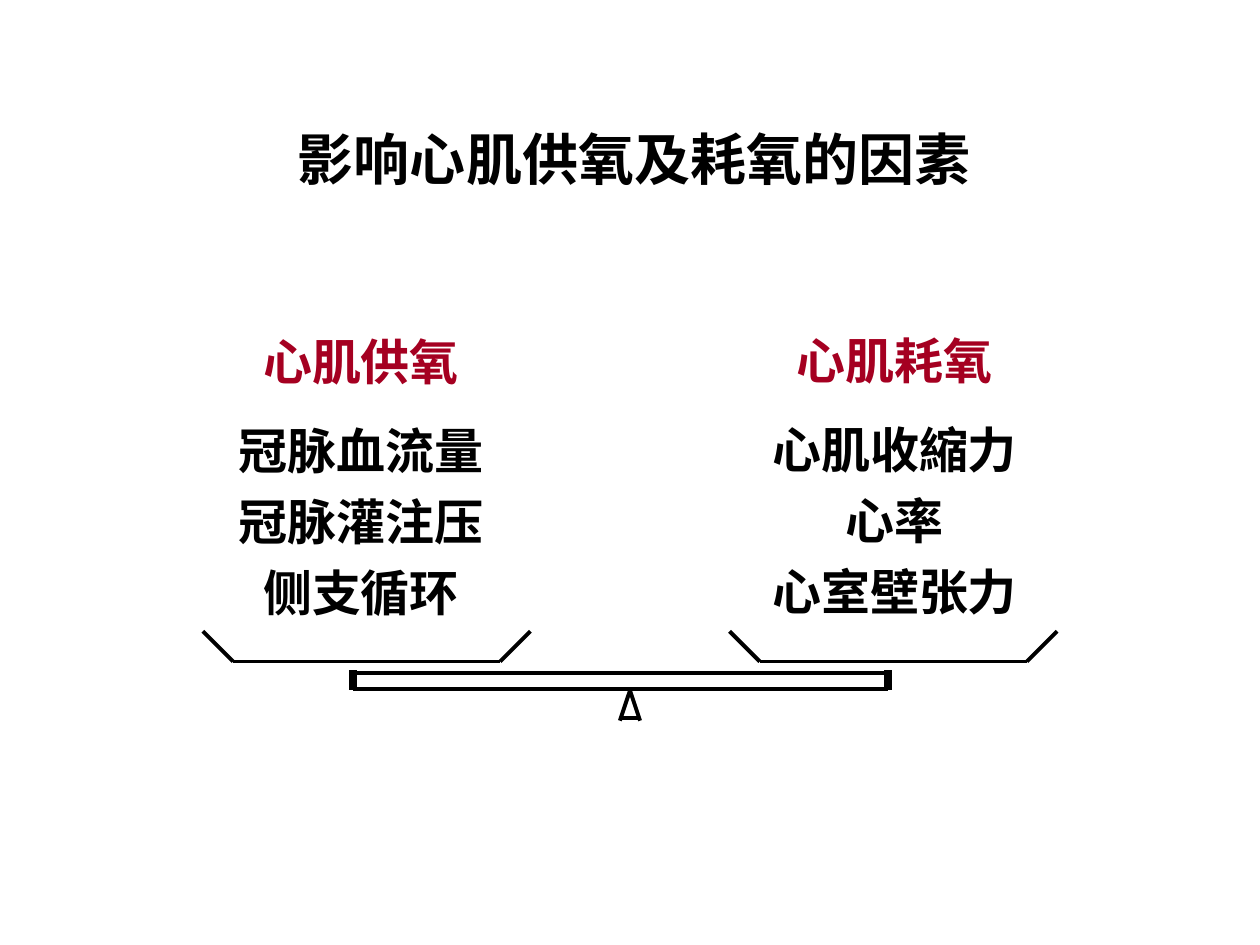
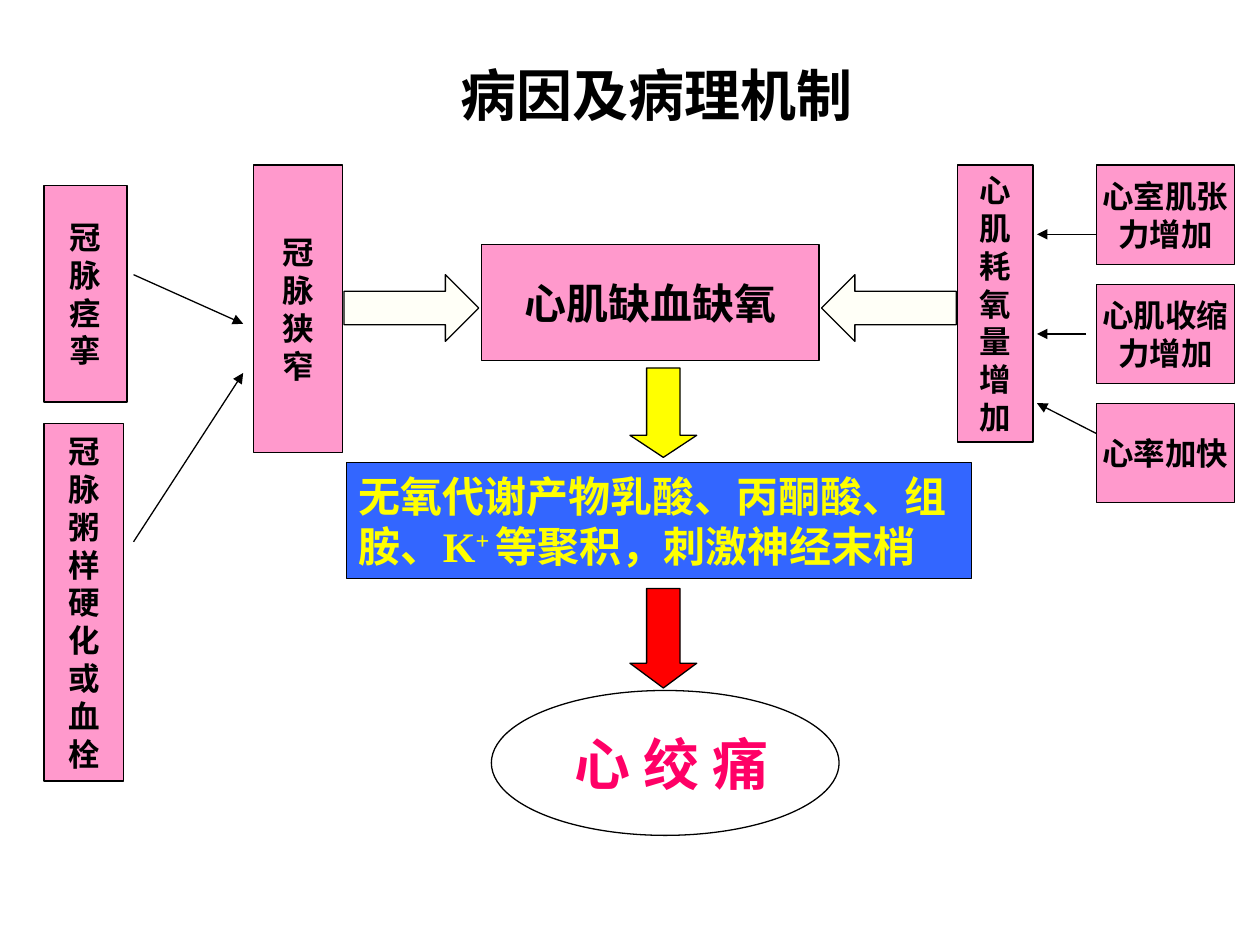
"""Builds two slides on myocardial oxygen balance and the mechanism of angina."""
import itertools

import lxml.etree
import pptx
import pptx.dml.color
import pptx.enum.lang
import pptx.enum.shapes
import pptx.enum.text
import pptx.oxml
import pptx.oxml.ns
import pptx.util

Inches = pptx.util.Inches
Pt = pptx.util.Pt
SHAPE = pptx.enum.shapes.MSO_SHAPE
ALIGN = pptx.enum.text.PP_ALIGN
ANCHOR = pptx.enum.text.MSO_ANCHOR
AUTO_SIZE = pptx.enum.text.MSO_AUTO_SIZE
HEADING_FONT = "Arial"
BODY_FONT = "Times New Roman"
COLORS = {
    "black": "000000", "white": "FFFFFF", "ivory": "FFFFF7", "crimson": "A50021",
    "pink": "FF99CC", "yellow": "FFFF00", "blue": "3366FF", "red": "FF0000",
    "magenta": "FF0066",
}


def color(name):
    return pptx.dml.color.RGBColor.from_string(COLORS[name])


class SlideBuilder:
    def __init__(self, presentation):
        self.presentation = presentation
        self.slide = None

    def new_slide(self, title, left, top, width, height):
        self.slide = self.presentation.slides.add_slide(self.presentation.slide_layouts[5])
        shape = self.slide.shapes.title
        shape.left, shape.top = Inches(left), Inches(top)
        shape.width, shape.height = Inches(width), Inches(height)
        shape.text_frame.text = title
        shape.text_frame.auto_size = AUTO_SIZE.NONE
        shape.text_frame.vertical_anchor = ANCHOR.MIDDLE
        self.format_paragraph(shape.text_frame.paragraphs[0], 32, HEADING_FONT)

    def format_paragraph(self, paragraph, size, font_name, color_name="black", align=ALIGN.CENTER):
        paragraph.alignment = align
        for run in paragraph.runs:
            run.font.size = Pt(size)
            run.font.name = font_name
            run.font.bold = True
            run.font.color.rgb = color(color_name)
            run.font.language_id = pptx.enum.lang.MSO_LANGUAGE_ID.SIMPLIFIED_CHINESE

    def shape(self, kind, left, top, width, height, fill, adjustments=()):
        shape = self.slide.shapes.add_shape(
            kind, Inches(left), Inches(top), Inches(width), Inches(height))
        shape.shadow.inherit = False
        shape.fill.solid()
        shape.fill.fore_color.rgb = color(fill)
        shape.line.color.rgb = color("black")
        shape.line.width = Pt(0.75)
        for index, value in enumerate(adjustments):
            shape.adjustments[index] = value
        return shape

    def label(self, shape, text, size=18, font_name=BODY_FONT, color_name="black",
              align=ALIGN.CENTER, superscript="", ending=""):
        frame = shape.text_frame
        frame.text = text
        frame.word_wrap = False
        frame.vertical_anchor = ANCHOR.MIDDLE
        if superscript:
            raised = frame.paragraphs[-1].add_run()
            raised.text = superscript
            raised._r.get_or_add_rPr().set("baseline", "30000")
            frame.paragraphs[-1].add_run().text = ending
        for paragraph in frame.paragraphs:
            self.format_paragraph(paragraph, size, font_name, color_name, align)

    def box(self, text, left, top, width, height, fill="pink", **text_style):
        self.label(self.shape(SHAPE.RECTANGLE, left, top, width, height, fill), text, **text_style)

    def factor_list(self, heading, factors, left, top, width, wrap):
        text_box = self.slide.shapes.add_textbox(
            Inches(left), Inches(top), Inches(width), Inches(2.41))
        frame = text_box.text_frame
        frame.text = "\n".join([heading, *factors])
        frame.word_wrap = wrap
        frame.auto_size = AUTO_SIZE.SHAPE_TO_FIT_TEXT
        for index, paragraph in enumerate(frame.paragraphs):
            paragraph.space_before = Pt(17.5 if index == 1 else 7)
            self.format_paragraph(paragraph, 28, HEADING_FONT, "black" if index else "crimson")

    def line(self, start, end, width=0.75, arrow=False):
        connector = self.slide.shapes.add_connector(
            pptx.enum.shapes.MSO_CONNECTOR.STRAIGHT, *map(Inches, (*start, *end)))
        connector.line.color.rgb = color("black")
        connector.line.width = Pt(width)
        if arrow:
            tail = lxml.etree.SubElement(
                connector.line._get_or_add_ln(), pptx.oxml.ns.qn("a:tailEnd"))
            tail.set("type", "triangle")
        lxml.etree.SubElement(connector._element.spPr, pptx.oxml.ns.qn("a:effectLst"))

    def outline(self, points):
        for start, end in itertools.pairwise(points):
            self.line(start, end, 2.25)


def build_balance_slide(builder):
    builder.new_slide("影响心肌供氧及耗氧的因素", 1.14, 0.68, 7.79, 1.15)
    for left in (1.61, 5.79):
        builder.outline([(left, 5.01), (left + 0.24, 5.25), (left + 2.36, 5.25), (left + 2.6, 5.01)])
    for y in (5.34, 5.47):
        builder.line((2.8, y), (7.05, y), 2.25)
    for x in (2.8, 7.05):
        builder.line((x, 5.32), (x, 5.48), 4.5)
    builder.outline([(4.92, 5.72), (5, 5.48), (5.08, 5.72)])
    builder.line((4.92, 5.7), (5.08, 5.7), 2.25)
    builder.factor_list("心肌供氧", ["冠脉血流量", "冠脉灌注压", "侧支循环"], 1.75, 2.58, 2.23, True)
    builder.factor_list("心肌耗氧", ["心肌收縮力", "心率", "心室壁张力"], 6.03, 2.57, 2.14, False)


def build_mechanism_slide(builder):
    builder.new_slide("病因及病理机制", 0.42, 0.42, 9.58, 0.66)
    builder.box("心肌缺血缺氧", 3.82, 1.94, 2.68, 0.92, size=24)

    vertical_boxes = [
        ("冠脉痉挛", 0.35, 1.47, 0.66, 1.72, BODY_FONT),
        ("冠脉粥样硬化或血栓", 0.35, 3.36, 0.63, 2.84, HEADING_FONT),
        ("冠脉狭窄", 2.01, 1.31, 0.71, 2.28, HEADING_FONT),
        ("心肌耗氧量增加", 7.6, 1.31, 0.6, 2.2, BODY_FONT),
    ]
    for text, left, top, width, height, font_name in vertical_boxes:
        builder.box("\n".join(text), left, top, width, height, font_name=font_name)

    for index, text in enumerate(["心室肌张\n力增加", "心肌收缩\n力增加", "心率加快"]):
        builder.box(text, 8.7, 1.31 + 0.945 * index, 1.1, 0.79)

    cause_arrows = [
        ((1.06, 2.18), (1.93, 2.57)),
        ((1.06, 4.3), (1.93, 2.96)),
        ((8.7, 1.86), (8.23, 1.86)),
        ((8.62, 2.65), (8.23, 2.65)),
        ((8.7, 3.44), (8.23, 3.2)),
    ]
    for start, end in cause_arrows:
        builder.line(start, end, arrow=True)

    block_arrows = [
        (SHAPE.RIGHT_ARROW, 2.73, 2.18, 1.07, 0.53, "ivory"),
        (SHAPE.LEFT_ARROW, 6.52, 2.18, 1.07, 0.53, "ivory"),
        (SHAPE.DOWN_ARROW, 5, 2.92, 0.53, 0.71, "yellow"),
        (SHAPE.DOWN_ARROW, 5, 4.67, 0.53, 0.79, "red"),
    ]
    head_lengths = (0.5, 0.5, 0.33, 0.37)
    for arrow, head_length in zip(block_arrows, head_lengths):
        builder.shape(*arrow, adjustments=(0.5, head_length))

    builder.box("无氧代谢产物乳酸、丙酮酸、组\n胺、K", 2.75, 3.67, 4.96, 0.92, "blue",
                size=24, color_name="yellow", align=ALIGN.LEFT,
                superscript="+ ", ending="等聚积，刺激神经末梢")
    angina = builder.shape(SHAPE.OVAL, 3.9, 5.48, 2.76, 1.15, "white")
    builder.label(angina, " 心 绞 痛", size=32, color_name="magenta")


def main():
    presentation = pptx.Presentation()
    presentation.slide_width = Inches(10)
    presentation.slide_height = Inches(7.5)
    builder = SlideBuilder(presentation)
    build_balance_slide(builder)
    build_mechanism_slide(builder)
    presentation.save("out.pptx")


if __name__ == "__main__":
    main()
